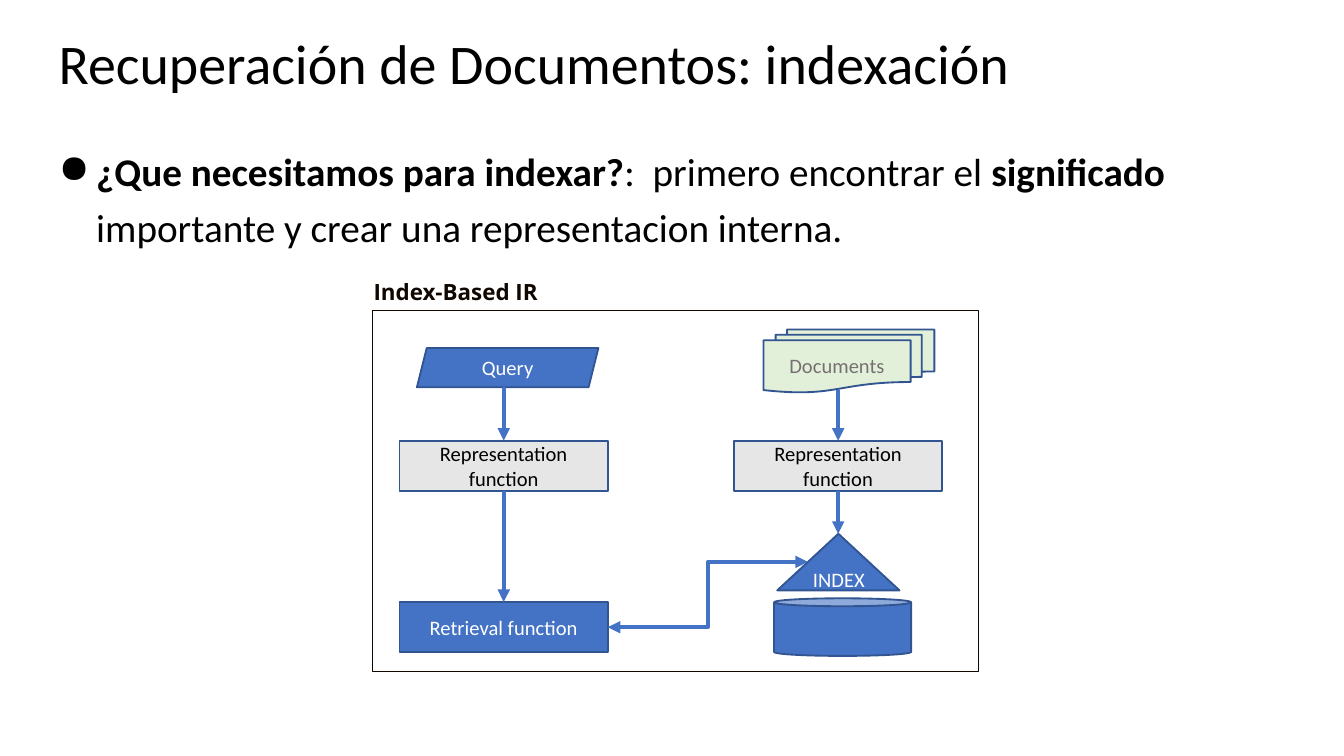
from collections import namedtuple
from dataclasses import dataclass

from lxml.etree import SubElement
from pptx import Presentation
from pptx.dml.color import RGBColor
from pptx.enum.shapes import MSO_CONNECTOR as Link, MSO_SHAPE as Kind
from pptx.enum.text import MSO_ANCHOR as Anchor, PP_ALIGN as Align
from pptx.oxml.ns import qn
from pptx.util import Cm, Pt

Box = namedtuple("Box", "left top width height")


@dataclass(frozen=True)
class Theme:
    black: str = "000000"
    white: str = "FFFFFF"
    blue: str = "4472C4"
    outline: str = "325491"
    grey: str = "E7E6E6"
    green: str = "E2F0D9"
    muted: str = "767171"
    frame: str = "100700"
    font: str = "Calibri"
    label_font: str = "Open Sans"
    title_size: float = 30
    body_size: float = 21
    label_size: float = 12
    node_size: float = 11


THEME = Theme()


def lengths(box):
    return [Cm(value) for value in box]


def within(box, left, top, width, height):
    return Box(box.left + left, box.top + top, width, height)


def style(paragraph, size, color, font=THEME.font, bold=None):
    paragraph.font.name = font
    paragraph.font.size = Pt(size)
    paragraph.font.color.rgb = RGBColor.from_string(color)
    paragraph.font.bold = bold


def add_text(slide, box, inset=0.13, wrap=True):
    frame = slide.shapes.add_textbox(*lengths(box)).text_frame
    frame.word_wrap = wrap
    frame.margin_left = frame.margin_right = Cm(0.25)
    frame.margin_top = frame.margin_bottom = Cm(inset)
    return frame.paragraphs[0]


def add_node(slide, kind, box, fill, text="", color=THEME.white):
    shape = slide.shapes.add_shape(kind, *lengths(box))
    shape.shadow.inherit = False
    shape.fill.solid()
    shape.fill.fore_color.rgb = RGBColor.from_string(fill)
    shape.line.color.rgb = RGBColor.from_string(THEME.outline)
    shape.line.width = Pt(1)
    if text:
        shape.text_frame.word_wrap = True
        shape.text_frame.vertical_anchor = Anchor.MIDDLE
        paragraph = shape.text_frame.paragraphs[0]
        paragraph.text = text
        paragraph.alignment = Align.CENTER
        style(paragraph, THEME.node_size, color)
    return shape


def add_arrow(slide, start, end, kind=Link.STRAIGHT, heads=("tailEnd",)):
    arrow = slide.shapes.add_connector(kind, *lengths(start + end))
    arrow.line.color.rgb = RGBColor.from_string(THEME.blue)
    arrow.line.width = Pt(2.25)
    for head in heads:
        SubElement(arrow.line._get_or_add_ln(), qn(f"a:{head}"), type="triangle")
    SubElement(arrow._element.spPr, qn("a:effectLst"))
    return arrow


def add_title(slide, box):
    paragraph = add_text(slide, box, inset=0.25)
    paragraph.text = "Recuperación de Documentos: indexación"
    paragraph.line_spacing = 0.9
    style(paragraph, THEME.title_size, THEME.black)


def add_body(slide, box):
    paragraph = add_text(slide, box, inset=0.25)
    properties = paragraph._p.get_or_add_pPr()
    properties.set("marL", str(Cm(0.71)))
    properties.set("indent", str(-Cm(0.71)))
    SubElement(properties, qn("a:buChar"), char="●")
    paragraph.line_spacing = 1.2
    style(paragraph, THEME.body_size, THEME.black)
    for text, bold in (
        ("¿Que necesitamos para indexar?", True),
        (":  primero encontrar el ", False),
        ("significado ", True),
        ("importante y crear una representacion interna.", False),
    ):
        run = paragraph.add_run()
        run.text = text
        run.font.bold = bold


def add_diagram(slide, box):
    query_x, index_x = 2.48, 8.8
    width, height = 3.94, 0.95
    function_top, retrieval_top = 2.46, 5.51

    def point(x, y):
        return box.left + x, box.top + y

    def add_step(center, top, fill, text, color):
        place = within(box, center - width / 2, top, width, height)
        return add_node(slide, Kind.RECTANGLE, place, fill, text, color)

    can = add_node(slide, Kind.CAN, within(box, 7.59, 5.44, 2.59, 1.09), THEME.blue)
    can.adjustments[0] = 0.138
    add_node(slide, Kind.FLOWCHART_MULTIDOCUMENT, within(box, 7.39, 0.36, 3.23, 1.19),
             THEME.green, "Documents", THEME.muted)
    add_node(slide, Kind.ISOSCELES_TRIANGLE, within(box, 7.65, 4.22, 2.31, 1.07), THEME.blue)
    index = add_text(slide, within(box, 7.95, 4.72, 1.73, 0.74), wrap=False)
    index.text = "INDEX"
    index.alignment = Align.CENTER
    style(index, THEME.node_size, THEME.white)
    add_node(slide, Kind.PARALLELOGRAM, within(box, 0.84, 0.71, 3.43, 0.74),
             THEME.blue, "Query")

    query_function, document_function = (
        add_step(center, function_top, THEME.grey, "Representation function", THEME.black)
        for center in (query_x, index_x)
    )
    retrieval = add_step(query_x, retrieval_top, THEME.blue, "Retrieval function", THEME.white)

    for x, source_y, function in (
        (query_x, 1.45, query_function),
        (index_x, 1.5, document_function),
    ):
        arrow = add_arrow(slide, point(x, source_y), point(x, function_top))
        arrow.end_connect(function, 0)

    for x, function, target_y in (
        (query_x, query_function, retrieval_top),
        (index_x, document_function, 4.22),
    ):
        arrow = add_arrow(slide, point(x, function_top + height), point(x, target_y))
        arrow.begin_connect(function, 2)
        if function is query_function:
            arrow.end_connect(retrieval, 0)

    exchange = add_arrow(slide, point(8.23, 4.75),
                         point(query_x + width / 2, retrieval_top + height / 2),
                         Link.ELBOW, ("headEnd", "tailEnd"))
    exchange.end_connect(retrieval, 3)

    border = slide.shapes.add_shape(Kind.RECTANGLE, *lengths(box))
    border.shadow.inherit = False
    border.fill.background()
    border.line.color.rgb = RGBColor.from_string(THEME.frame)
    border.line.width = Pt(0.75)
    label = add_text(slide, within(box, -0.23, -0.74, 4.27, 0.76))
    label.text = "Index-Based IR"
    style(label, THEME.label_size, THEME.frame, THEME.label_font, True)


def main():
    presentation = Presentation()
    presentation.slide_width, presentation.slide_height = Cm(25.4), Cm(14.29)
    slide = presentation.slides.add_slide(presentation.slide_layouts[6])
    add_title(slide, Box(0.86, 0.43, 23.67, 1.75))
    add_body(slide, Box(0.86, 2.36, 23.67, 2.77))
    add_diagram(slide, Box(7.04, 5.87, 11.46, 6.83))
    presentation.save("out.pptx")


if __name__ == "__main__":
    main()
